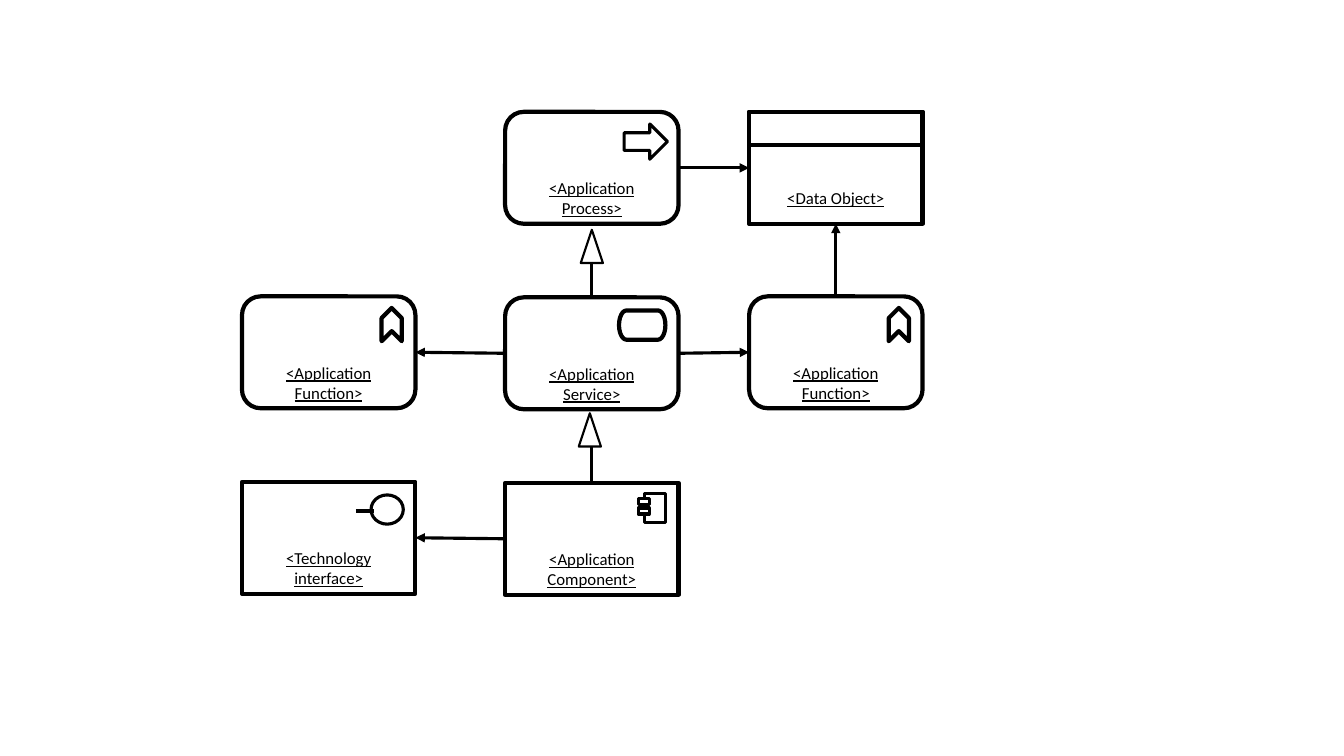
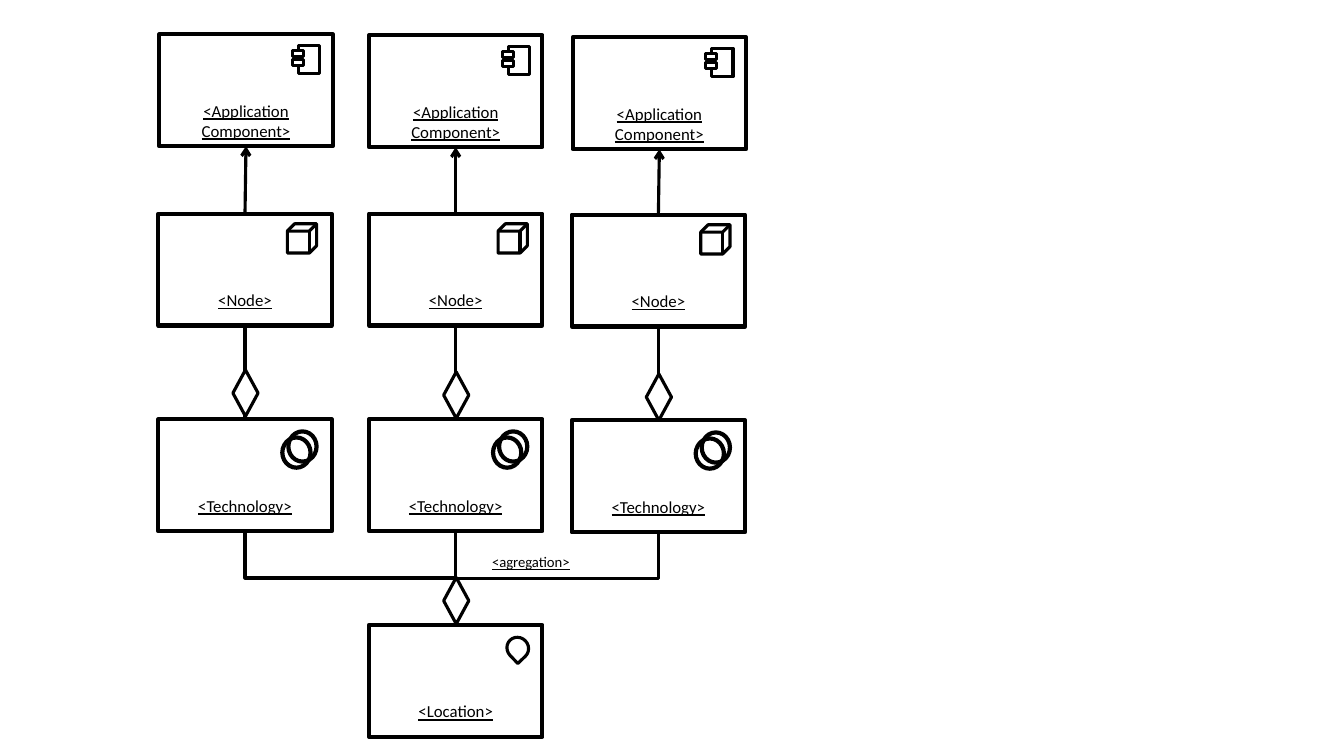
from dataclasses import dataclass

from lxml import etree
from pptx import Presentation
from pptx.dml.color import RGBColor
from pptx.enum.shapes import MSO_CONNECTOR as Connector, MSO_SHAPE as Preset
from pptx.enum.text import MSO_ANCHOR as Anchor, PP_ALIGN as Align
from pptx.oxml.ns import qn
from pptx.util import Inches, Pt


@dataclass(frozen=True)
class Theme:
    ink: RGBColor = RGBColor(0x00, 0x00, 0x00)
    paper: RGBColor = RGBColor(0xFF, 0xFF, 0xFF)
    font: str = "Calibri"
    label_size: float = 12
    note_size: float = 10.5
    heavy: float = 3
    medium: float = 2.25
    thin: float = 1.5


THEME = Theme()
BOX_WIDTH, BOX_HEIGHT = 1.72, 1.11
TOP, LEFT, BOTTOM, RIGHT = range(4)  # connection sites of a box


@dataclass(frozen=True)
class Part:
    """One outline of an icon, measured from the corner of its box."""
    preset: Preset
    area: tuple
    weight: float = THEME.heavy
    rotation: float = 0
    filled: bool = False


ICONS = {
    "function": [Part(Preset.CHEVRON, (1.32, 0.18, 0.33, 0.2), rotation=270)],
    "process": [Part(Preset.RIGHT_ARROW, (1.18, 0.12, 0.43, 0.35), THEME.medium)],
    "service": [Part(Preset.FLOWCHART_TERMINATOR, (1.13, 0.13, 0.46, 0.29))],
    "interface": [Part(Preset.OVAL, (1.28, 0.13, 0.32, 0.29), THEME.medium)],
    "data": [Part(Preset.RECTANGLE, (0, 0, BOX_WIDTH, 0.33))],
    "component": [
        Part(Preset.RECTANGLE, (1.38, 0.11, 0.21, 0.28), THEME.medium),
        *(Part(Preset.RECTANGLE, (1.32, top, 0.11, 0.06), THEME.medium, filled=True)
          for top in (0.16, 0.25)),
    ],
    "node": [Part(Preset.CUBE, (1.28, 0.1, 0.29, 0.29), THEME.medium)],
    "technology": [
        Part(Preset.FLOWCHART_CONNECTOR, (left, top, 0.28, 0.3))
        for left, top in ((1.29, 0.12), (1.23, 0.18))
    ],
    "location": [Part(Preset.TEAR, (1.37, 0.12, 0.21, 0.22), THEME.medium, 136.1)],
}
ROUNDED = {"function", "process", "service"}


def set_all(target, values):
    for name, value in values.items():
        setattr(target, name, value)


def draw_line(line, weight):
    line.color.rgb = THEME.ink
    line.width = Pt(weight)


def add_outline(shapes, preset, area, weight, filled=False, rotation=0):
    shape = shapes.add_shape(preset, *map(Inches, area))
    shape.shadow.inherit = False
    shape.rotation = rotation
    if filled:
        shape.fill.solid()
        shape.fill.fore_color.rgb = THEME.paper
    else:
        shape.fill.background()
    draw_line(shape.line, weight)
    return shape


def write_label(shape, text, size, **margins):
    frame = shape.text_frame
    set_all(frame, {"word_wrap": True, "vertical_anchor": Anchor.MIDDLE, **margins})
    paragraph = frame.paragraphs[0]
    paragraph.alignment = Align.CENTER
    run = paragraph.add_run()
    run.text = text
    set_all(run.font, {"name": THEME.font, "size": Pt(size), "underline": True})
    run.font.color.rgb = THEME.ink


def add_line(shapes, start=(0, 0), end=(0, 0), weight=THEME.medium,
             kind=Connector.STRAIGHT, head=None):
    connector = shapes.add_connector(kind, *map(Inches, (*start, *end)))
    draw_line(connector.line, weight)
    properties = connector._element.spPr
    if head:
        etree.SubElement(properties.find(qn("a:ln")), qn("a:tailEnd"), type=head)
    etree.SubElement(properties, qn("a:effectLst"))
    return connector


def add_element(slide, kind, text, left, top):
    """Draw a labelled box with its icon and return the box outline."""
    shapes = slide.shapes.add_group_shape().shapes
    preset = Preset.ROUNDED_RECTANGLE if kind in ROUNDED else Preset.RECTANGLE
    box = add_outline(shapes, preset, (left, top, BOX_WIDTH, BOX_HEIGHT), THEME.heavy)
    write_label(box, text, THEME.label_size, margin_top=Inches(0.6), margin_bottom=0)
    for part in ICONS[kind]:
        x, y, width, height = part.area
        add_outline(shapes, part.preset, (left + x, top + y, width, height),
                    part.weight, part.filled, part.rotation)
    if kind == "interface":
        add_line(shapes, (left + 1.13, top + 0.29), (left + 1.31, top + 0.29), THEME.heavy)
    return box


def link(slide, source, source_site, target, target_site, head=None):
    connector = add_line(slide.shapes, head=head)
    connector.begin_connect(source, source_site)
    connector.end_connect(target, target_site)


def add_generalization(slide, source, left, top):
    """Draw a stem from the source box up to a hollow triangle."""
    width, height = 0.22, 0.33
    center = (source.left + source.width // 2) / Inches(1)
    stem = add_line(slide.shapes, (center, source.top / Inches(1)), (center, top + height))
    stem.begin_connect(source, TOP)
    add_outline(slide.shapes, Preset.ISOSCELES_TRIANGLE,
                (left, top, width, height), THEME.thin, filled=True)


def add_diamond(slide, left, top):
    add_outline(slide.shapes, Preset.DIAMOND, (left, top, 0.25, 0.46),
                THEME.medium, filled=True)


def add_falling_elbow(slide, start, end):
    """Draw a down-across-down elbow: a sideways elbow turned by a quarter."""
    across, drop = end[0] - start[0], end[1] - start[1]
    center_x, center_y = (start[0] + end[0]) / 2, (start[1] + end[1]) / 2
    near, far = center_x - drop / 2, center_x + drop / 2
    top, bottom = center_y - abs(across) / 2, center_y + abs(across) / 2
    rightward = across > 0
    first, last = (far, near) if rightward else (near, far)
    elbow = add_line(slide.shapes, (first, top), (last, bottom), kind=Connector.ELBOW)
    quarter_turns = 3 if rightward else 1
    elbow._element.spPr.find(qn("a:xfrm")).set("rot", str(quarter_turns * 5400000))


def build_application_slide(slide):
    left, middle, right = 2.4, 5.01, 7.43
    upper, center, lower = 1.11, 2.94, 4.78
    elements = {
        "process": ("process", "<Application Process>", middle, upper),
        "data": ("data", "<Data Object>", right, upper),
        "left function": ("function", "<Application Function>", left, center),
        "service": ("service", "<Application Service>", middle, center + 0.01),
        "right function": ("function", "<Application Function>", right, center),
        "interface": ("interface", "<Technology interface>", left, lower),
        "component": ("component", "<Application Component>", middle, lower + 0.01),
    }
    boxes = {name: add_element(slide, *element) for name, element in elements.items()}
    for source, source_site, target, target_site in (
        ("process", RIGHT, "data", LEFT),
        ("service", LEFT, "left function", RIGHT),
        ("service", RIGHT, "right function", LEFT),
        ("right function", TOP, "data", BOTTOM),
        ("component", LEFT, "interface", RIGHT),
    ):
        link(slide, boxes[source], source_site, boxes[target], target_site, "triangle")
    add_generalization(slide, boxes["service"], 5.76, 2.28)
    add_generalization(slide, boxes["component"], 5.74, 4.1)


def build_technology_column(slide, left, node_top, component_left, component_top,
                            diamond_top):
    component = add_element(slide, "component", "<Application Component>",
                            component_left, component_top)
    node = add_element(slide, "node", "<Node>", left, node_top)
    technology = add_element(slide, "technology", "<Technology>", left, node_top + 2.04)
    link(slide, node, TOP, component, BOTTOM, "arrow")
    link(slide, node, BOTTOM, technology, TOP)
    add_diamond(slide, left + 0.74, diamond_top)
    return technology


def build_technology_slide(slide):
    columns = (
        (1.57, 2.12, 1.58, 0.34, 3.67),
        (3.66, 2.12, 3.66, 0.35, 3.69),
        (5.67, 2.13, 5.68, 0.37, 3.71),
    )
    first, second, third = [build_technology_column(slide, *column) for column in columns]
    location = add_element(slide, "location", "<Location>", 3.66, 6.2)
    link(slide, second, BOTTOM, location, TOP)
    for technology in (first, third):
        start_x = (technology.left + technology.width / 2) / Inches(1)
        start_y = (technology.top + technology.height) / Inches(1)
        add_falling_elbow(slide, (start_x, start_y), (4.52, 6.2))
    add_diamond(slide, 4.4, 5.73)
    note = slide.shapes.add_textbox(*map(Inches, (4.54, 5.47, 1.45, 0.21)))
    write_label(note, "<agregation>", THEME.note_size, margin_top=0, margin_bottom=0)


def main():
    presentation = Presentation()
    set_all(presentation, {"slide_width": Inches(13.33), "slide_height": Inches(7.5)})
    blank = presentation.slide_layouts[6]
    for build in (build_application_slide, build_technology_slide):
        build(presentation.slides.add_slide(blank))
    presentation.save("out.pptx")


if __name__ == "__main__":
    main()
